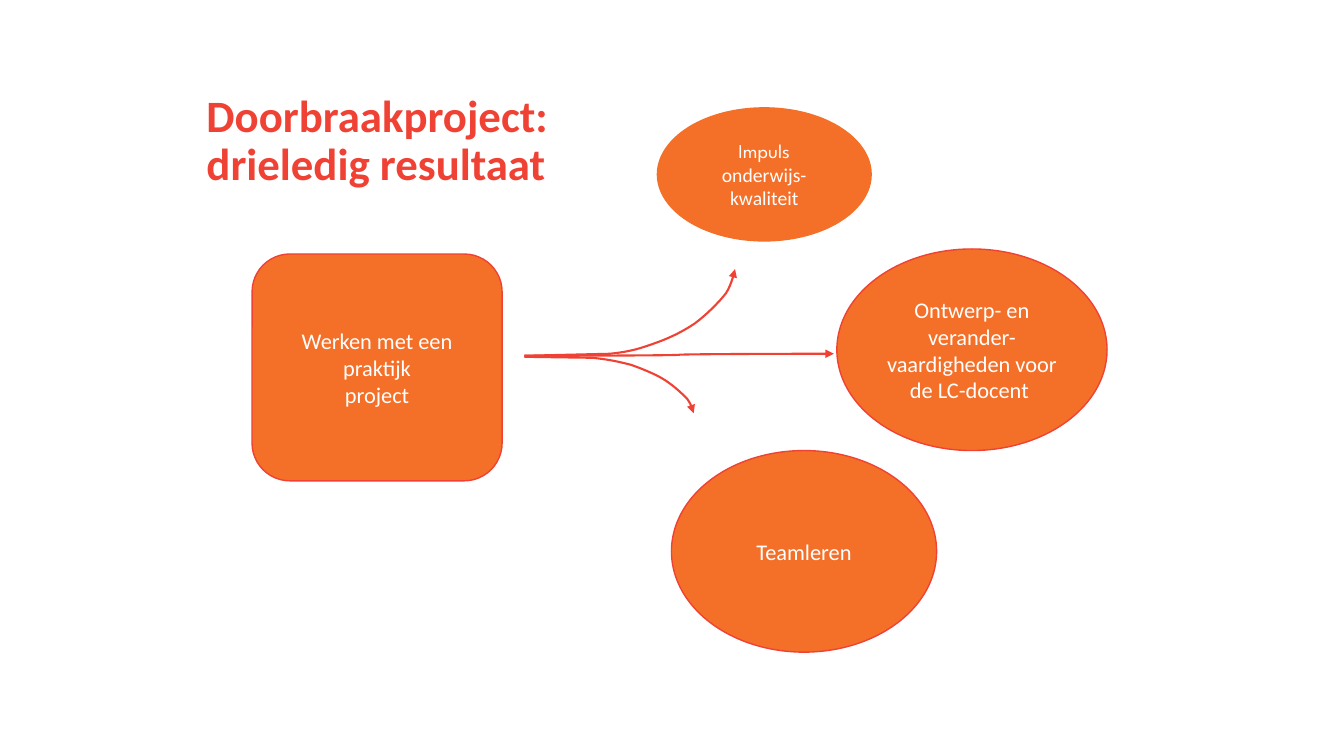
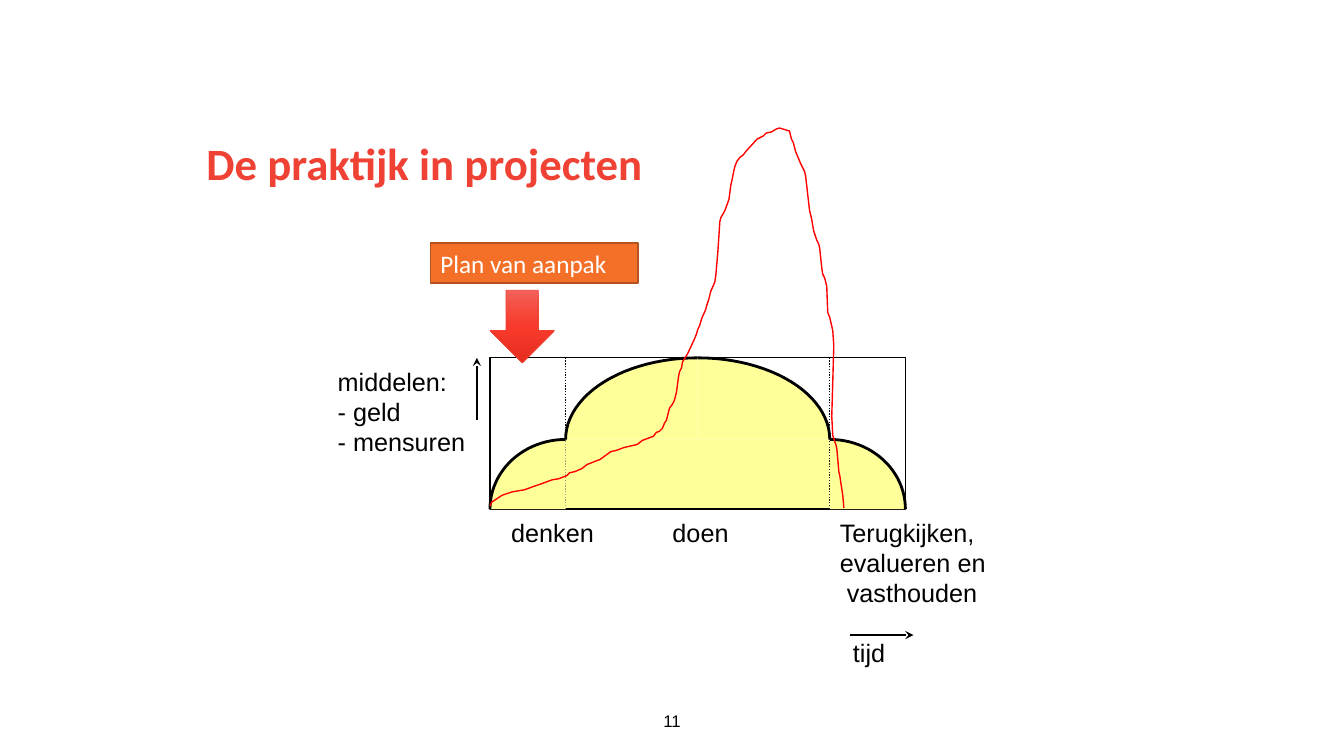
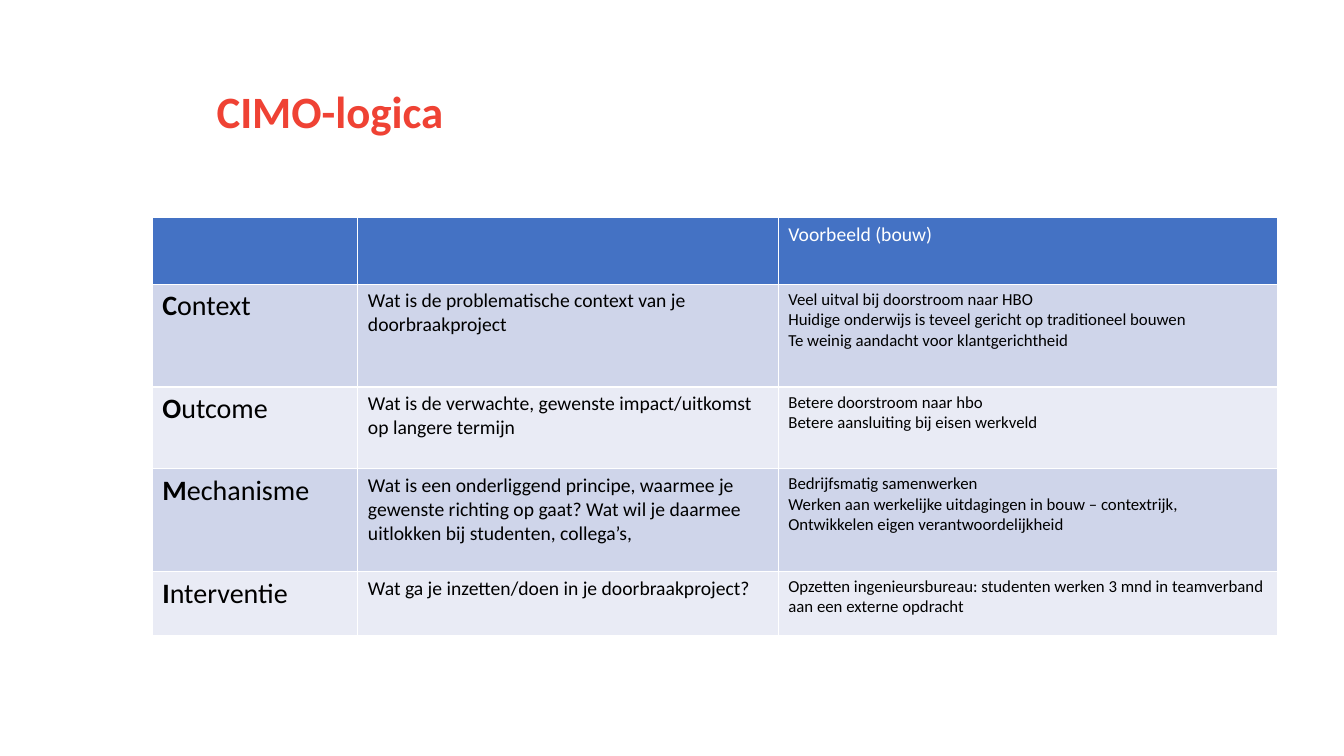
import copy
import dataclasses
import math

import lxml.etree
import pptx
import pptx.dml.color
import pptx.enum.dml
import pptx.enum.shapes
import pptx.enum.text
import pptx.oxml.ns
import pptx.util

Inches = pptx.util.Inches
Kind = pptx.enum.shapes.MSO_SHAPE
Link = pptx.enum.shapes.MSO_CONNECTOR
Align = pptx.enum.text.PP_ALIGN
Anchor = pptx.enum.text.MSO_ANCHOR
qn = pptx.oxml.ns.qn


@dataclasses.dataclass(frozen=True)
class Theme:
    red: str = "EF4234"
    orange: str = "F47028"
    rust: str = "B5531E"
    trace: str = "FF0000"
    yellow: str = "FFFF99"
    black: str = "000000"
    white: str = "FFFFFF"
    head: str = "4472C4"
    bands: tuple = ("CFD5EA", "E9EBF5")
    glow: tuple = ((0, "F36058"), (0.5, "F83A2B"), (1, "E52D1E"))
    sans: str = "Calibri"
    plain: str = "Arial"
    accent: str = "League Spartan"
    title: int = 32
    lead: int = 20
    label: int = 18
    body: int = 16
    small: int = 14
    note: int = 12


THEME = Theme()


def rgb(code):
    return pptx.dml.color.RGBColor.from_string(code)


def style(font, size, color, name=THEME.sans, bold=False):
    font.size, font.name, font.bold = pptx.util.Pt(size), name, bold
    font.color.rgb = rgb(color)


def write(frame, lines, size, color, name=THEME.sans, bold=False, align=Align.LEFT):
    for i, line in enumerate(lines):
        para = frame.add_paragraph() if i else frame.paragraphs[0]
        para.text, para.alignment = line, align
        style(para.font, size, color, name, bold)


def paint(shape, fill=None, line=None, width=1.0):
    shape.shadow.inherit = False
    if fill:
        shape.fill.solid()
        shape.fill.fore_color.rgb = rgb(fill)
    else:
        shape.fill.background()
    if line:
        shape.line.color.rgb = rgb(line)
        shape.line.width = pptx.util.Pt(width)
    else:
        shape.line.fill.background()


def tip(shape, kind):
    line = shape._element.spPr.find(qn("a:ln"))
    lxml.etree.SubElement(line, qn("a:tailEnd"), type=kind)


def block(slide, kind, box, fill=None, line=None, width=1.0):
    shape = slide.shapes.add_shape(kind, *map(Inches, box))
    paint(shape, fill, line, width)
    return shape


def text_box(slide, box, anchor=Anchor.TOP, wrap=True):
    frame = slide.shapes.add_textbox(*map(Inches, box)).text_frame
    frame.word_wrap, frame.vertical_anchor = wrap, anchor
    return frame


def label(slide, box, lines):
    frame = text_box(slide, box, wrap=False)
    frame.margin_left = frame.margin_right = Inches(0.08)
    frame.margin_top = frame.margin_bottom = Inches(0.04)
    write(frame, lines, THEME.label, THEME.black, THEME.plain)


def link(slide, start, end, color, width=1.0, kind=Link.STRAIGHT, head=None, dash=None):
    shape = slide.shapes.add_connector(kind, *map(Inches, (*start, *end)))
    shape.line.color.rgb = rgb(color)
    shape.line.width = pptx.util.Pt(width)
    if dash:
        shape.line.dash_style = dash
    if head:
        tip(shape, head)
    lxml.etree.SubElement(shape._element.spPr, qn("a:effectLst"))


def outline(slide, origin, points, fill=None, line=None, width=1.0):
    spots = [(Inches(origin[0] + x), Inches(origin[1] + y)) for x, y in points]
    maker = slide.shapes.build_freeform(*spots[0], scale=1.0)
    maker.add_line_segments(spots[1:], close=bool(fill))
    shape = maker.convert_to_shape()
    paint(shape, fill, line, width)
    return shape


def bend(points, curves, steps=8):
    result = list(points)
    for curve in curves:
        knots = (result[-1], *curve)
        for i in range(1, steps + 1):
            t = i / steps
            parts = ((1 - t) ** 3, 3 * t * (1 - t) ** 2, 3 * t * t * (1 - t), t ** 3)
            result.append(tuple(sum(p * k[axis] for p, k in zip(parts, knots)) for axis in (0, 1)))
    return result


def new_page(deck, title, box=(1.95, 0.77, 10.43, 1.17)):
    slide = deck.slides.add_slide(deck.slide_layouts[6])
    frame = text_box(slide, box, Anchor.BOTTOM)
    write(frame, [title], THEME.title, THEME.red, bold=True)
    frame.paragraphs[0].line_spacing = 0.9
    return slide


UP = ([(0, 0.86), (0.85, 0.84)], [
    ((1.06, 0.82), (1.17, 0.78), (1.31, 0.73)), ((1.45, 0.68), (1.57, 0.62), (1.69, 0.54)),
    ((1.8, 0.46), (1.93, 0.33), (2, 0.24)), ((2.06, 0.15), (2.09, 0), (2.09, 0))])
DOWN = ([(0, 0), (0.68, 0.01)], [
    ((0.86, 0.03), (0.94, 0.05), (1.06, 0.08)), ((1.17, 0.12), (1.27, 0.16), (1.36, 0.21)),
    ((1.45, 0.26), (1.55, 0.35), (1.61, 0.41)), ((1.66, 0.47), (1.68, 0.56), (1.68, 0.56))])


def bubble(slide, kind, box, lines, size=THEME.body, line=THEME.red):
    frame = block(slide, kind, box, THEME.orange, line).text_frame
    frame.word_wrap, frame.vertical_anchor = True, Anchor.MIDDLE
    write(frame, lines, size, THEME.white, align=Align.CENTER)
    return frame


def fork(slide, x, y):
    for top, route in ((y - 0.86, UP), (y + 0.01, DOWN)):
        arrow = outline(slide, (x, top), bend(*route), line=THEME.red, width=1.5)
        tip(arrow, "triangle")
    link(slide, (x, y), (x + 3.07, y - 0.02), THEME.red, 1.5, Link.CURVE, "triangle")


def result_page(deck):
    slide = new_page(deck, "Doorbraakproject:\vdrieledig resultaat")
    frame = bubble(slide, Kind.OVAL, (6.52, 1.07, 2.12, 1.32), ["Impuls "],
                   THEME.small, THEME.orange)
    para = frame.paragraphs[0]
    para.runs[0].font.name = THEME.accent
    para.add_run().text = "onderwijs-kwaliteit"
    bubble(slide, Kind.OVAL, (6.66, 4.47, 2.63, 2), ["Teamleren"])
    bubble(slide, Kind.OVAL, (8.3, 2.47, 2.68, 2),
           ["Ontwerp- en verander- vaardigheden voor de LC-docent "])
    bubble(slide, Kind.ROUNDED_RECTANGLE, (2.5, 2.52, 2.48, 2.25),
           ["Werken met een praktijk", "project"])
    fork(slide, 5.2, 3.53)


TRACE = [
    (0, 3.75), (0.02, 3.71), (0.11, 3.65), (0.13, 3.64), (0.22, 3.61), (0.34, 3.59),
    (0.45, 3.55), (0.51, 3.53), (0.59, 3.5), (0.62, 3.49), (0.68, 3.48), (0.76, 3.45),
    (0.79, 3.42), (0.84, 3.41), (0.91, 3.38), (0.96, 3.34), (1.06, 3.3), (1.09, 3.29),
    (1.2, 3.21), (1.25, 3.2), (1.33, 3.17), (1.46, 3.14), (1.51, 3.1), (1.59, 3.07),
    (1.62, 3.06), (1.65, 3.02), (1.68, 3.01), (1.71, 2.98), (1.73, 2.93), (1.75, 2.9),
    (1.77, 2.82), (1.78, 2.78), (1.81, 2.74), (1.83, 2.7), (1.85, 2.62), (1.87, 2.47),
    (1.88, 2.42), (1.9, 2.38), (1.91, 2.32), (1.96, 2.24), (2.03, 2.09), (2.05, 2.04),
    (2.06, 2), (2.08, 1.96), (2.1, 1.89), (2.14, 1.8), (2.15, 1.76), (2.17, 1.7),
    (2.19, 1.62), (2.23, 1.53), (2.24, 1.46), (2.26, 1.23), (2.28, 0.93), (2.29, 0.89),
    (2.33, 0.82), (2.37, 0.71), (2.39, 0.56), (2.4, 0.52), (2.42, 0.42), (2.43, 0.38),
    (2.45, 0.33), (2.48, 0.29), (2.51, 0.27), (2.54, 0.23), (2.65, 0.11), (2.71, 0.08),
    (2.74, 0.05), (2.79, 0.04), (2.84, 0.01), (2.87, 0), (2.97, 0.03), (2.99, 0.11),
    (3.01, 0.15), (3.03, 0.23), (3.08, 0.35), (3.1, 0.39), (3.12, 0.43), (3.13, 0.47),
    (3.17, 0.82), (3.19, 0.9), (3.21, 1.02), (3.24, 1.11), (3.26, 1.15), (3.27, 1.19),
    (3.29, 1.38), (3.3, 1.45), (3.32, 1.49), (3.34, 1.57), (3.35, 1.83), (3.37, 1.88),
    (3.4, 2.01), (3.41, 2.16), (3.39, 2.86), (3.4, 3.05), (3.43, 3.14), (3.44, 3.18),
    (3.45, 3.29), (3.46, 3.41), (3.47, 3.45), (3.48, 3.52), (3.5, 3.65), (3.51, 3.77)]


def quarter(slide, box, rise, steps=24):
    x, y, w, h = box
    turns = [i * math.pi / 2 / steps for i in range(steps + 1)]
    arc = [(w * (1 - math.cos(t)) if rise else w * math.sin(t),
            h * (1 - math.sin(t)) if rise else h * (1 - math.cos(t))) for t in turns]
    outline(slide, (x, y), arc + [(w if rise else 0, h)], fill=THEME.yellow)
    outline(slide, (x, y), arc, line=THEME.black, width=2)


def hill(slide, box, side=0.75, step=0.81):
    x, y, w, h = box
    half, low = w / 2 - side, h - step
    first, last = x + side, x + w - side
    block(slide, Kind.RECTANGLE, (first, y + step, 2 * half, low), THEME.yellow)
    block(slide, Kind.RECTANGLE, box, line=THEME.black)
    for edge in (first, last):
        link(slide, (edge, y + h), (edge, y), THEME.black,
             dash=pptx.enum.dml.MSO_LINE.ROUND_DOT)
    quarter(slide, (x, y + step, side, low), True)
    quarter(slide, (first, y, half, step), True)
    quarter(slide, (last, y + step, side, low), False)
    quarter(slide, (first + half, y, half, step), False)
    outline(slide, (x, y - 2.28), TRACE, line=THEME.trace)


def axes(slide, box):
    x, y, w, h = box
    base = y + h + 0.04
    label(slide, (x - 1.59, y + 0.04, 2.06, 0.99), ["middelen:", "- geld", "- mensuren"])
    link(slide, (x - 0.13, y + 0.62), (x - 0.13, y), THEME.black, head="stealth")
    label(slide, (x + 0.13, base, 1.1, 0.38), ["denken"])
    label(slide, (x + 1.73, base, 0.9, 0.38), ["doen"])
    label(slide, (x + 3.39, base, 1.75, 0.99),
          ["Terugkijken,", "evalueren en", " vasthouden"])
    label(slide, (x + 3.52, base + 1.19, 0.6, 0.38), ["tijd"])
    link(slide, (x + 3.57, base + 1.21), (x + 4.2, base + 1.21), THEME.black, head="stealth")


def plan(slide, x, y):
    sign = block(slide, Kind.RECTANGLE, (x, y, 2.06, 0.4), THEME.orange, THEME.rust)
    sign.text_frame.word_wrap = True
    sign.text_frame.vertical_anchor = Anchor.TOP
    write(sign.text_frame, ["Plan van aanpak"], THEME.label, THEME.white)
    arrow = block(slide, Kind.DOWN_ARROW, (x + 0.59, y + 0.47, 0.64, 0.72),
                  line=THEME.red, width=0.5)
    arrow.fill.gradient()
    arrow.fill.gradient_angle = 270
    stops = arrow._element.spPr.find(qn("a:gradFill")).find(qn("a:gsLst"))
    stops.insert(1, copy.deepcopy(stops[0]))
    for stop, (place, color) in zip(arrow.fill.gradient_stops, THEME.glow):
        stop.position, stop.color.rgb = place, rgb(color)


def project_page(deck):
    slide = new_page(deck, "De praktijk in projecten")
    frame = text_box(slide, (5.08, 6.95, 3.17, 0.4), Anchor.MIDDLE)
    write(frame, ["11"], THEME.note, THEME.black, THEME.plain, align=Align.CENTER)
    box = (4.86, 3.55, 4.12, 1.5)
    axes(slide, box)
    hill(slide, box)
    plan(slide, 4.27, 2.41)


ROWS = [
    ("", "", ["Voorbeeld (bouw)"]),
    ("Context", "Wat is de problematische context van je doorbraakproject",
     ["Veel uitval bij doorstroom naar HBO",
      "Huidige onderwijs is teveel gericht op traditioneel bouwen",
      "Te weinig aandacht voor klantgerichtheid"]),
    ("Outcome", "Wat is de verwachte, gewenste impact/uitkomst op langere termijn",
     ["Betere doorstroom naar hbo", "Betere aansluiting bij eisen werkveld"]),
    ("Mechanisme", "Wat is een onderliggend principe, waarmee je gewenste richting op gaat? "
     "Wat wil je daarmee uitlokken bij studenten, collega’s,",
     ["Bedrijfsmatig samenwerken",
      "Werken aan werkelijke uitdagingen in bouw – contextrijk, "
      "Ontwikkelen eigen verantwoordelijkheid"]),
    ("Interventie", "Wat ga je inzetten/doen in je doorbraakproject?",
     ["Opzetten ingenieursbureau: studenten werken 3 mnd in teamverband "
      "aan een externe opdracht"]),
]


def grid(slide, x, y, widths, heights):
    box = (x, y, sum(widths), sum(heights))
    table = slide.shapes.add_table(len(heights), len(widths), *map(Inches, box)).table
    for col, width in zip(table.columns, widths):
        col.width = Inches(width)
    for i, (row, height, (term, ask, notes)) in enumerate(zip(table.rows, heights, ROWS)):
        row.height = Inches(height)
        for cell in row.cells:
            cell.fill.solid()
            cell.fill.fore_color.rgb = rgb(THEME.bands[(i - 1) % 2] if i else THEME.head)
        first, mid, last = (cell.text_frame for cell in row.cells)
        write(last, notes, THEME.note if i else THEME.small,
              THEME.black if i else THEME.white)
        if term:
            write(first, [term[0]], THEME.lead, THEME.black)
            para = first.paragraphs[0]
            para.runs[0].font.bold = True
            para.add_run().text = term[1:]
            write(mid, [ask], THEME.small, THEME.black)


def logic_page(deck):
    slide = new_page(deck, "CIMO-logica", (2.05, 0.25, 10.43, 1.17))
    grid(slide, 1.51, 2.16, (2.04, 4.17, 4.95), (0.66, 1.02, 0.81, 1.02, 0.64))


def main():
    deck = pptx.Presentation()
    deck.slide_width, deck.slide_height = Inches(13.33), Inches(7.5)
    for build in (result_page, project_page, logic_page):
        build(deck)
    deck.save("out.pptx")


if __name__ == "__main__":
    main()
